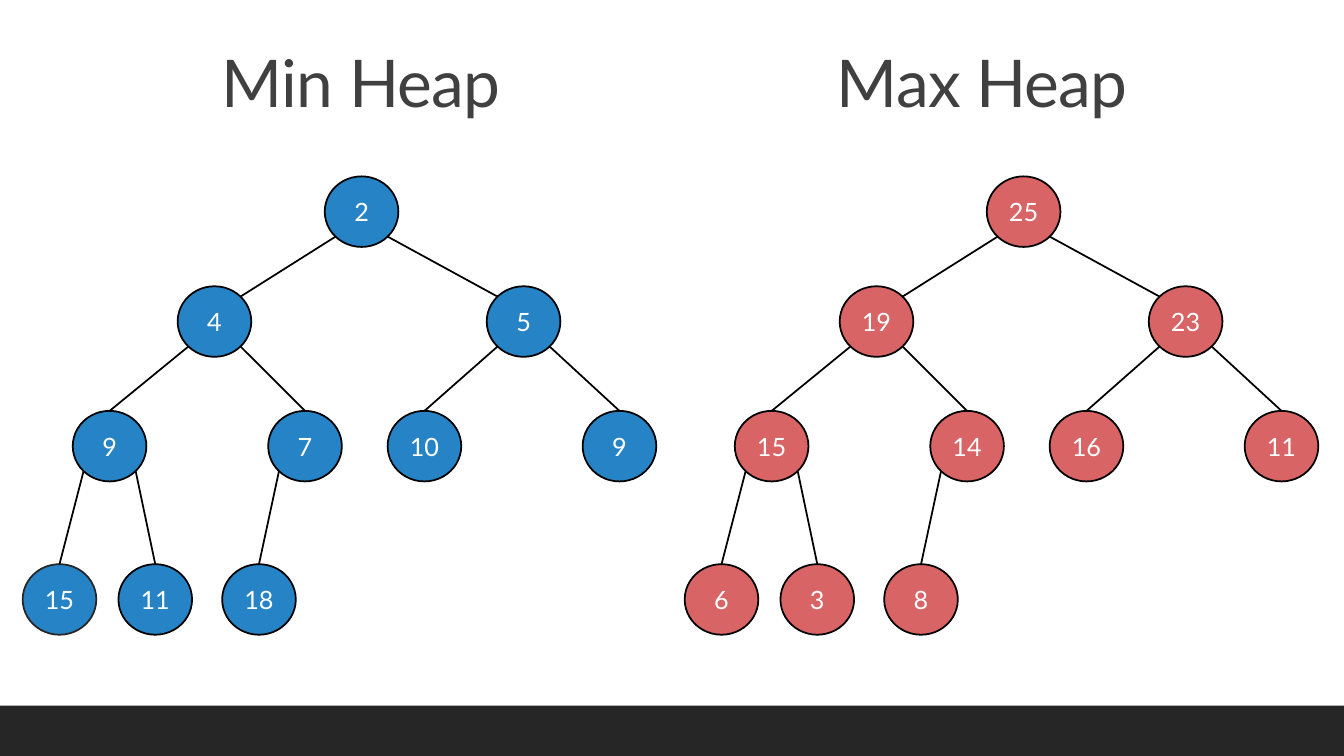
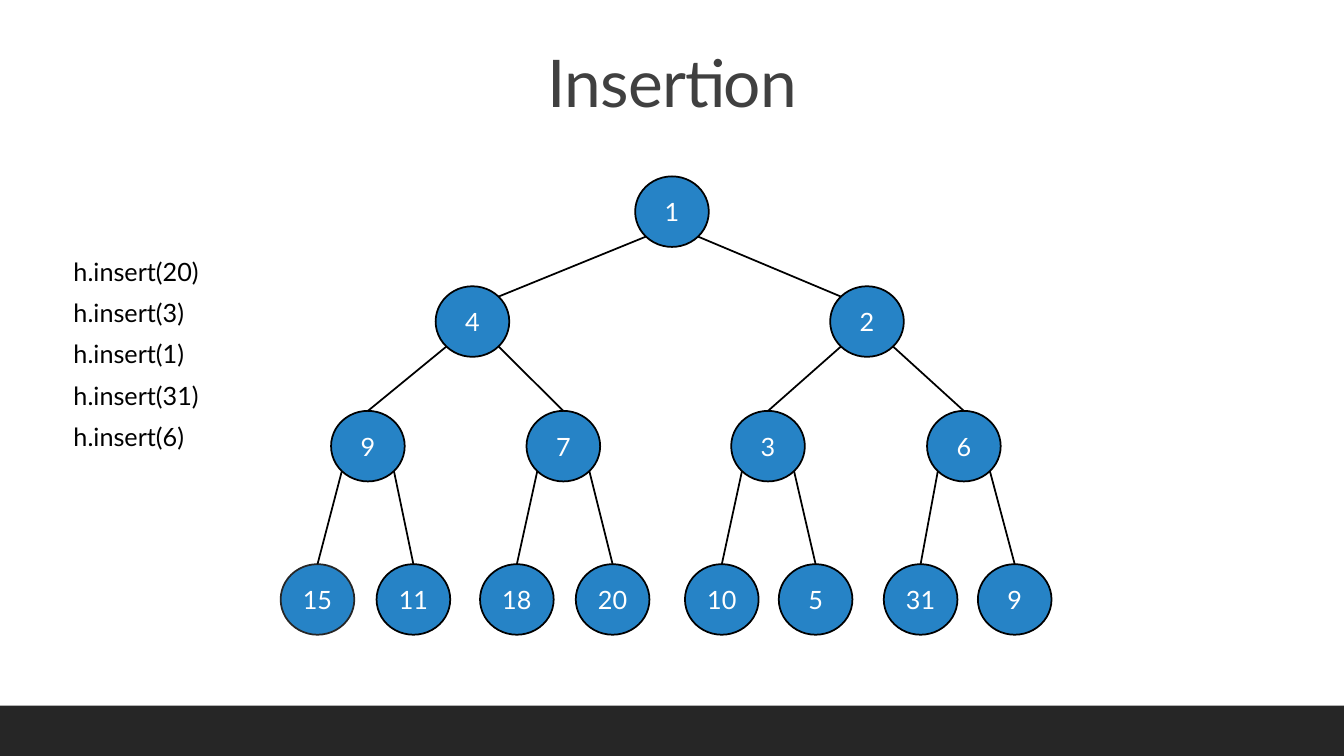
from dataclasses import dataclass
from math import sqrt

from lxml import etree
from pptx import Presentation
from pptx.dml.color import RGBColor
from pptx.enum.shapes import MSO_CONNECTOR, MSO_SHAPE
from pptx.enum.text import MSO_ANCHOR, PP_ALIGN
from pptx.oxml.ns import qn
from pptx.util import Pt

LINE = MSO_CONNECTOR.STRAIGHT
OVAL, RECT = MSO_SHAPE.OVAL, MSO_SHAPE.RECTANGLE
TOP, MID = MSO_ANCHOR.TOP, MSO_ANCHOR.MIDDLE
LEFT, CENTER = PP_ALIGN.LEFT, PP_ALIGN.CENTER


@dataclass(frozen=True)
class Theme:
    font: str = "Lato"
    ink: str = "000000"
    head: str = "404040"
    band: str = "262626"
    light: str = "FFFFFF"
    blue: str = "2683C6"
    red: str = "D86465"
    big: float = 47
    body: float = 18
    rule: float = 1.25


T = Theme()
WIDE, HIGH, BAND = 960, 540, 36
NODE_W, NODE_H = 52.6, 50.4
ROWS = (126, 204.5, 293.5, 403)
TITLE = {"top": 32.8, "width": 231, "height": 62}
CALLS = {"left": 45.4, "top": 179.3, "width": 107, "height": 148}
GAP = 7.9

# Centres of the nodes, level by level
SMALL = (258.3, 153.2, 374, 78.3, 217.9, 303.2, 442.5, 42.5, 110.9, 185)
SHIFT = 472.9
FULL = (480, 337.5, 619.3, 262.8, 402.4, 548.6, 688.5,
        226.8, 295.3, 369.2, 437.6, 515.6, 582.6, 657.6, 724.8)

# "soft" is the index of the node with the paler outline
SLIDES = [
    {"titles": [("Min Heap", 258.1), ("Max Heap", 701.6)],
     "trees": [
         {"keys": (2, 4, 5, 9, 7, 10, 9, 15, 11, 18),
          "mids": SMALL, "fill": T.blue, "soft": 7},
         {"keys": (25, 19, 23, 15, 14, 16, 11, 6, 3, 8),
          "mids": [x + SHIFT for x in SMALL], "fill": T.red, "soft": None}],
     "calls": []},
    {"titles": [("Insertion", 480)],
     "trees": [
         {"keys": (1, 4, 2, 9, 7, 3, 6, 15, 11, 18, 20, 10, 5, 31, 9),
          "mids": FULL, "fill": T.blue, "soft": 7}],
     "calls": ["h.insert(20)", "h.insert(3)", "h.insert(1)",
               "h.insert(31)", "h.insert(6)"]},
]


def rgb(code):
    return RGBColor.from_string(code)


def apply(obj, vals):
    for name, val in vals.items():
        setattr(obj, name, val)


def place(shape, **box):
    apply(shape, {side: Pt(val) for side, val in box.items()})


def write(shape, lines, size, color, align, anchor, **form):
    """Fill the shape with one paragraph per line and return the runs."""
    frame = shape.text_frame
    apply(frame, {"word_wrap": True, "vertical_anchor": anchor})
    frame.text = "\n".join(lines)
    runs = []
    for para in frame.paragraphs:
        apply(para, {"alignment": align, **form})
        run = para.runs[0]
        apply(run.font, {"name": T.font, "size": Pt(size)})
        run.font.color.rgb = rgb(color)
        runs.append(run)
    return runs


def paint(shape, fill, edge=None):
    shape.shadow.inherit = False
    shape.fill.solid()
    shape.fill.fore_color.rgb = rgb(fill)
    if edge:
        shape.line.color.rgb = rgb(edge)
        shape.line.width = Pt(T.rule)
    else:
        shape.line.fill.background()


def add_head(slide, titles):
    for i, (text, mid) in enumerate(titles):
        box = slide.shapes.add_textbox(0, 0, 0, 0) if i else slide.shapes.title
        place(box, left=mid - TITLE["width"] / 2, **TITLE)
        runs = write(box, [text], T.big, T.head, CENTER, TOP, line_spacing=0.9)
        runs[0].font._element.set("spc", "-50")


def add_node(slide, key, mid, top, fill, edge):
    node = slide.shapes.add_shape(OVAL, 0, 0, 0, 0)
    place(node, left=mid - NODE_W / 2, top=top, width=NODE_W, height=NODE_H)
    paint(node, fill, edge)
    apply(node.text_frame, dict.fromkeys(
        ("margin_left", "margin_right", "margin_top", "margin_bottom"), 0))
    write(node, [str(key)], T.body, T.light, CENTER, MID)
    return node


def rim(mid, top, side, low):
    """Point on a node's outline at 45 degrees; side is -1 or 1."""
    down = 1 if low else -1
    return (Pt(mid + side * NODE_W / sqrt(8)),
            Pt(top + NODE_H / 2 + down * NODE_H / sqrt(8)))


def add_tree(slide, keys, mids, fill, soft):
    tops = [ROWS[(i + 1).bit_length() - 1] for i in range(len(keys))]
    for i, (key, mid, top) in enumerate(zip(keys, mids, tops)):
        edge = T.band if i == soft else T.ink
        node = add_node(slide, key, mid, top, fill, edge)
        if i == 0:
            continue
        up = (i - 1) // 2
        side = -1 if i % 2 else 1
        start = rim(mids[up], tops[up], side, True)
        end = rim(mid, top, -side, False)
        link = slide.shapes.add_connector(LINE, *start, *end)
        if up:
            link.end_connect(node, 0)
        link.line.color.rgb = rgb(T.ink)
        link.line.width = Pt(T.rule)
        etree.SubElement(link._element.spPr, qn("a:effectLst"))


def add_calls(slide, lines):
    box = slide.shapes.add_textbox(0, 0, 0, 0)
    place(box, **CALLS)
    write(box, lines, T.body, T.ink, LEFT, TOP, space_after=Pt(GAP))


def add_band(slide):
    """Draw the footer band and move it to the shared layout."""
    band = slide.shapes.add_shape(RECT, 0, 0, 0, 0)
    place(band, left=0, top=HIGH - BAND, width=WIDE, height=BAND)
    paint(band, T.band)
    slide.slide_layout.shapes.element.append(band.element)


def main():
    deck = Presentation()
    apply(deck, {"slide_width": Pt(WIDE), "slide_height": Pt(HIGH)})
    layout = deck.slide_layouts[5]
    for i, page in enumerate(SLIDES):
        slide = deck.slides.add_slide(layout)
        if i == 0:
            add_band(slide)
        add_head(slide, page["titles"])
        for tree in page["trees"]:
            add_tree(slide, **tree)
        if page["calls"]:
            add_calls(slide, page["calls"])
    deck.save("out.pptx")


if __name__ == "__main__":
    main()
